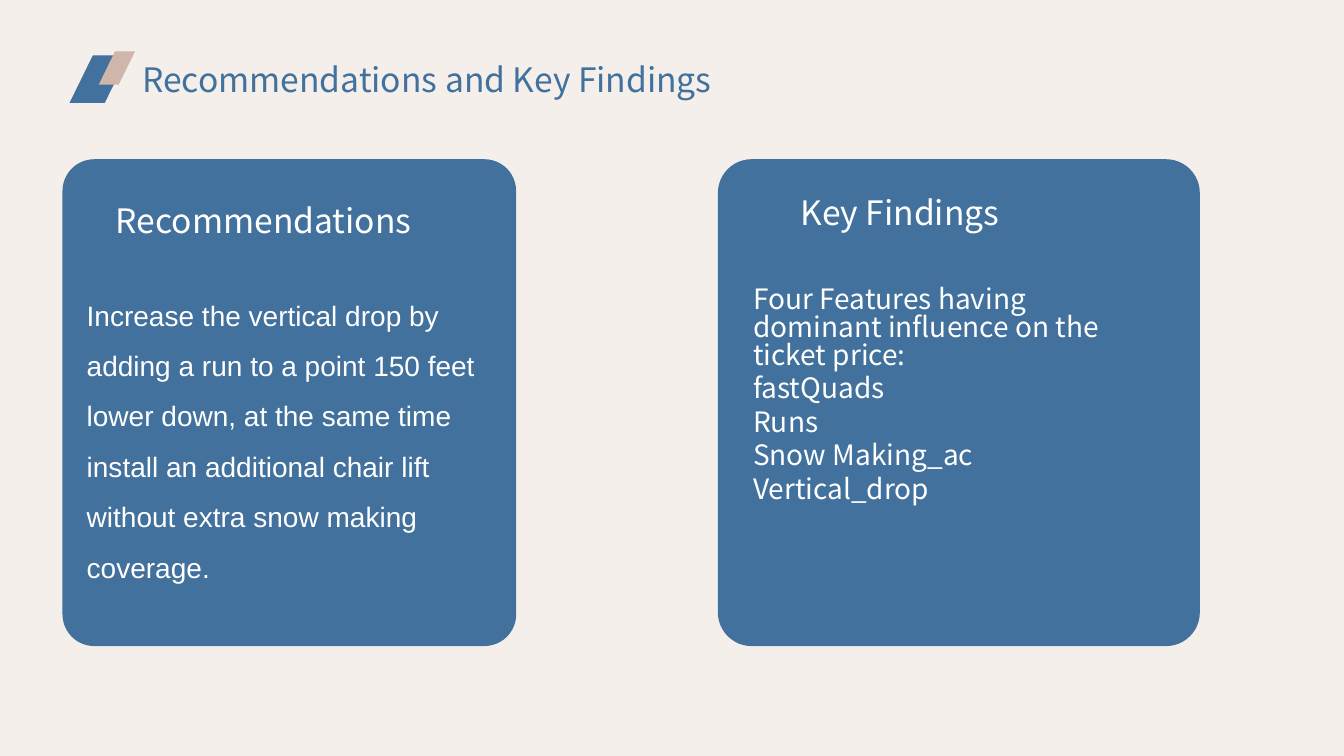
import pptx
import pptx.dml.color
import pptx.enum.shapes
import pptx.enum.text
import pptx.util
from lxml import etree
from pptx.util import Inches, Pt

RGBColor = pptx.dml.color.RGBColor
MSO_SHAPE = pptx.enum.shapes.MSO_SHAPE
ANCHOR = pptx.enum.text.MSO_ANCHOR
ALIGN = pptx.enum.text.PP_ALIGN

CREAM = RGBColor(0xF4, 0xEF, 0xEB)
BLUE = RGBColor(0x41, 0x71, 0x9C)
TAN = RGBColor(0xCE, 0xB6, 0xAA)
WHITE = RGBColor(0xFF, 0xFF, 0xFF)
NOTO = "Noto Sans CJK SC"
HEADING = {"name": NOTO, "size": Pt(24), "bold": False}
BODY = {"size": Pt(20), "bold": False}

CARD_TOP, CARD_HEIGHT = 1.58, 4.83
CARDS = [
    {
        "card": (0.62, CARD_TOP, 4.5, CARD_HEIGHT),
        "heading": "Recommendations",
        "heading_box": (1.15, 1.98, 3.13, 0.4),
        "body": ["Increase the vertical drop by adding a run to a point 150 feet "
                 "lower down, at the same time install an additional chair lift "
                 "without extra snow making coverage."],
        "body_box": (0.86, 2.79, 4.01, 3.49),
        "font": "Arial",
        "line_spacing": 1.5,
    },
    {
        "card": (7.12, CARD_TOP, 4.78, CARD_HEIGHT),
        "heading": "Key Findings",
        "heading_box": (7.94, 1.9, 3.13, 0.4),
        "body": ["Four Features having dominant influence on the ticket price:",
                 "fastQuads", "Runs", "Snow Making_ac", "Vertical_drop"],
        "body_box": (7.47, 2.85, 3.84, 3.29),
        "font": NOTO,
        "line_spacing": 0.83,
    },
]


def add_block(s, kind, box, adjustment, color):
    """Add a flat shape behind the placeholders."""
    sp = s.shapes.add_shape(kind, *map(Inches, box))
    sp.adjustments[0] = adjustment
    sp.shadow.inherit = False
    sp.fill.solid()
    sp.fill.fore_color.rgb = color
    sp.line.fill.background()
    s.shapes.title.element.addprevious(sp.element)


def remove_bullet(p):
    pPr = p._p.get_or_add_pPr()
    pPr.set("marL", "0")
    pPr.set("indent", "0")
    etree.SubElement(pPr, pptx.oxml.ns.qn("a:buNone"))


def fill_placeholder(sp, box, lines, font, color, anchor=ANCHOR.MIDDLE,
                     inset=(0, 0), line_spacing=1.0):
    sp.left, sp.top, sp.width, sp.height = map(Inches, box)
    tf = sp.text_frame
    tf.text = "\n".join(lines)
    margin_x, margin_y = map(Inches, inset)
    frame = {"word_wrap": True, "vertical_anchor": anchor,
             "auto_size": pptx.enum.text.MSO_AUTO_SIZE.NONE,
             "margin_left": margin_x, "margin_right": margin_x,
             "margin_top": margin_y, "margin_bottom": margin_y}
    for key, value in frame.items():
        setattr(tf, key, value)
    for i, p in enumerate(tf.paragraphs):
        remove_bullet(p)
        p.alignment = ALIGN.LEFT
        p.line_spacing = line_spacing
        p.space_before = Pt(4 if i else 0)
        for r in p.runs:
            for key, value in font.items():
                setattr(r.font, key, value)
            r.font.color.rgb = color


def add_card(s, card, heading_sp, body_sp):
    add_block(s, MSO_SHAPE.ROUNDED_RECTANGLE, card["card"], 0.07, BLUE)
    fill_placeholder(heading_sp, card["heading_box"], [card["heading"]],
                     HEADING, WHITE)
    fill_placeholder(body_sp, card["body_box"], card["body"],
                     {**BODY, "name": card["font"]}, WHITE, ANCHOR.TOP,
                     line_spacing=card["line_spacing"])


def main():
    prs = pptx.Presentation()
    prs.slide_width, prs.slide_height = Inches(13.33), Inches(7.5)
    s = prs.slides.add_slide(prs.slide_layouts.get_by_name("Comparison"))
    s.background.fill.solid()
    s.background.fill.fore_color.rgb = CREAM

    title, *panels = s.placeholders
    fill_placeholder(title, (1.31, 0.53, 7.71, 0.5),
                     ["Recommendations and Key Findings"], HEADING, BLUE,
                     inset=(0.1, 0.05))
    add_block(s, MSO_SHAPE.PARALLELOGRAM, (0.69, 0.55, 0.58, 0.47), 0.49, BLUE)
    add_block(s, MSO_SHAPE.PARALLELOGRAM, (0.98, 0.51, 0.36, 0.33), 0.49, TAN)
    for card, heading_sp, body_sp in zip(CARDS, panels[::2], panels[1::2]):
        add_card(s, card, heading_sp, body_sp)
    prs.save("out.pptx")


if __name__ == "__main__":
    main()
